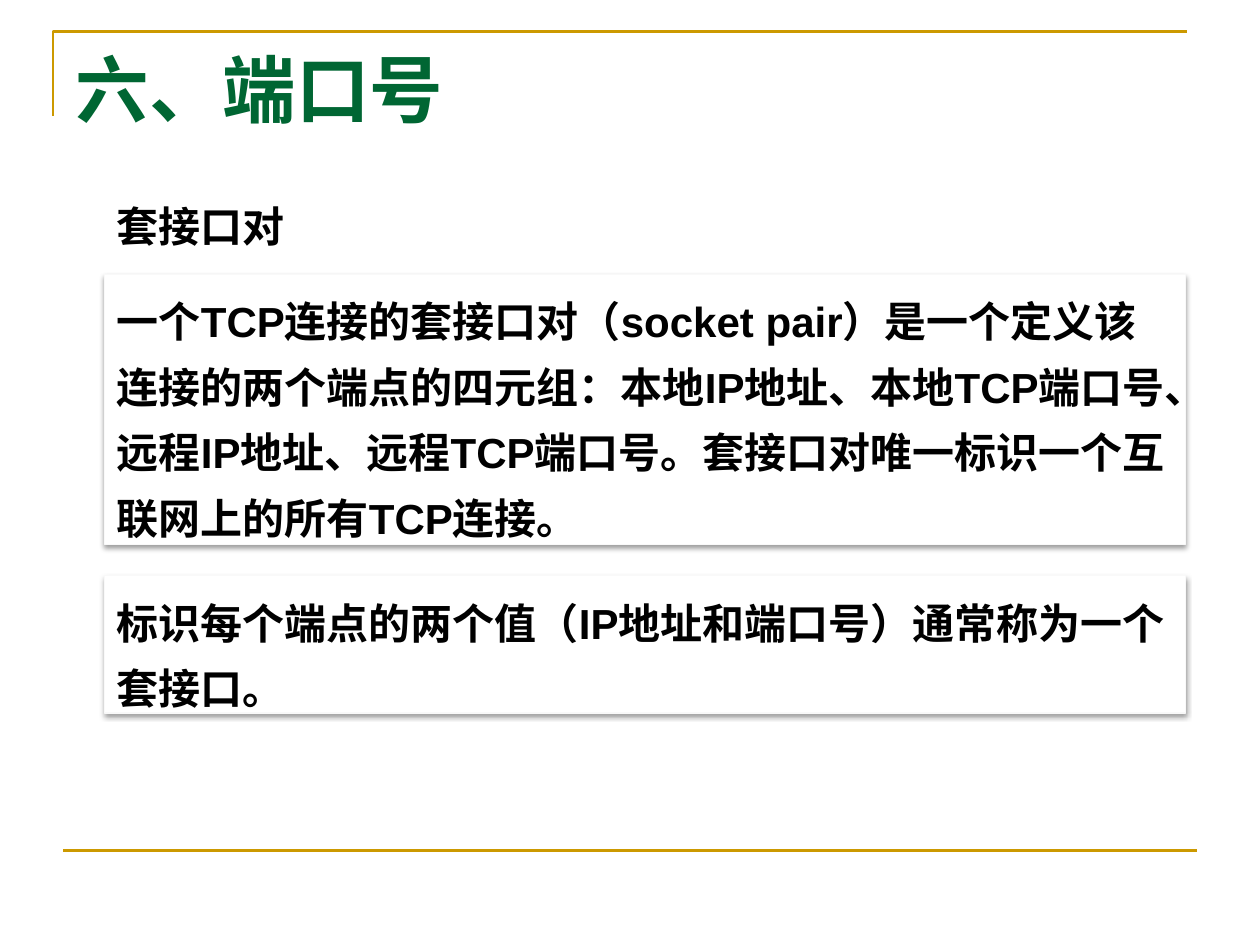
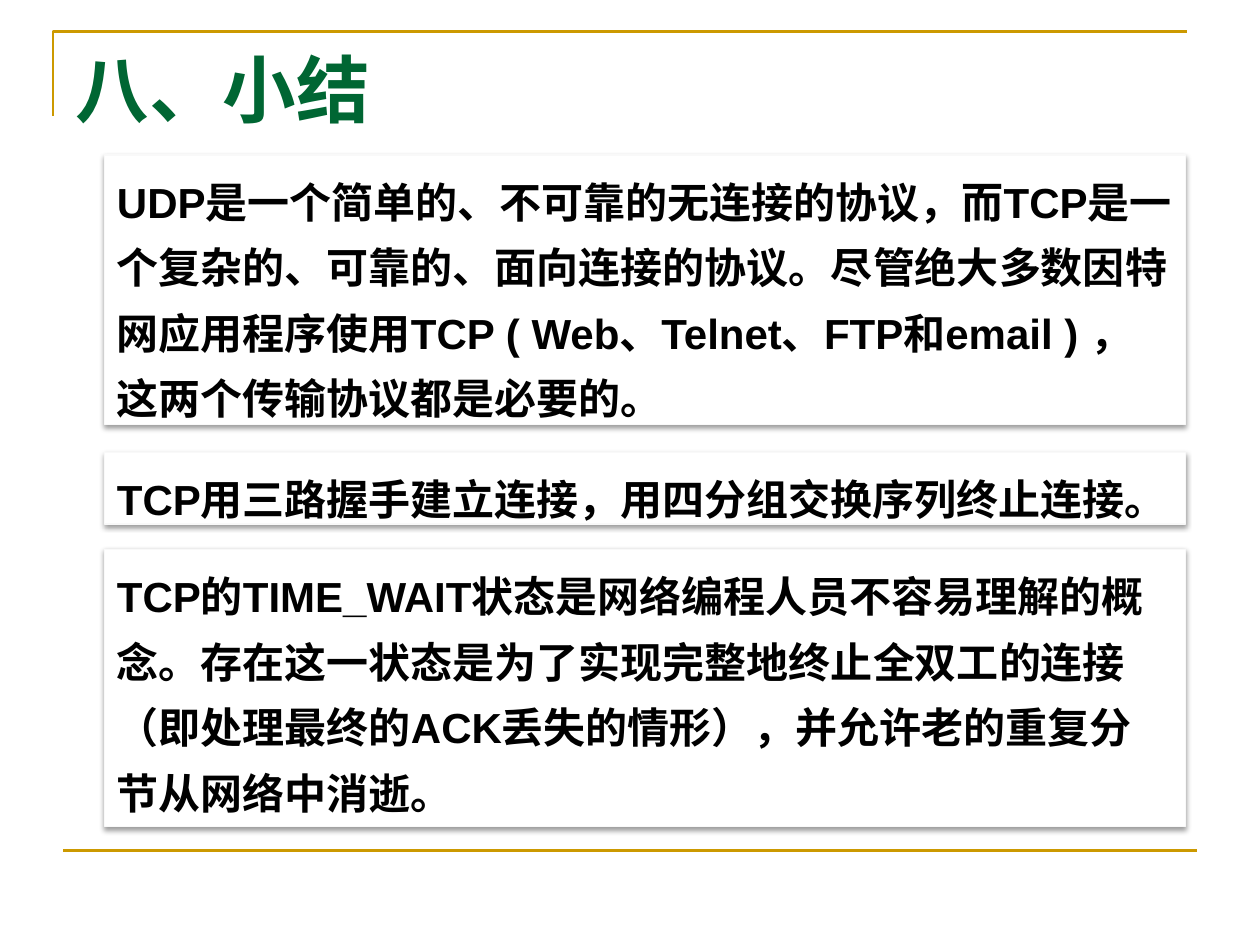
"""Build two slides on TCP port numbers and a summary."""
import pptx
import pptx.util
import pptx.dml.color
import pptx.enum.lang
import pptx.enum.shapes
import pptx.enum.text
import pptx.oxml
import pptx.oxml.ns

Inches, Pt = pptx.util.Inches, pptx.util.Pt
COLORS = {"gold": "CC9900", "green": "006633", "ink": "000000",
          "paper": "FFFFFF", "edge": "F9F9F9"}
LANG = pptx.enum.lang.MSO_LANGUAGE_ID.SIMPLIFIED_CHINESE
HEAD = {"name": "Times New Roman", "size": Pt(42), "bold": True, "language_id": LANG}
BODY = {"name": "Arial", "size": Pt(24), "bold": True, "language_id": LANG}
FRAME = {"word_wrap": True, "vertical_anchor": pptx.enum.text.MSO_ANCHOR.TOP}
SHADOW = (f'<a:outerShdw {pptx.oxml.ns.nsdecls("a")} blurRad="{Pt(3.1)}" '
          f'dist="{Pt(1.6)}" dir="5400000" rotWithShape="0">'
          f'<a:srgbClr val="{COLORS["ink"]}"><a:alpha val="38000"/></a:srgbClr>'
          '</a:outerShdw>')

DECK = [
    ("六、端口号", [
        (1.42, 0.57, False, "套接口对"),
        (2.18, 2.14, True, "一个TCP连接的套接口对（socket pair）是一个定义该连接的两个端点的四元组："
         "本地IP地址、本地TCP端口号、远程IP地址、远程TCP端口号。"
         "套接口对唯一标识一个互联网上的所有TCP连接。"),
        (4.57, 1.09, True, "标识每个端点的两个值（IP地址和端口号）通常称为一个套接口。"),
    ]),
    ("八、小结", [
        (1.23, 2.14, True, "UDP是一个简单的、不可靠的无连接的协议，而TCP是一个复杂的、可靠的、"
         "面向连接的协议。尽管绝大多数因特网应用程序使用TCP ( Web、Telnet、FTP和email ) ，"
         "这两个传输协议都是必要的。"),
        (3.59, 0.57, True, "TCP用三路握手建立连接，用四分组交换序列终止连接。"),
        (4.36, 2.2, True, "TCP的TIME_WAIT状态是网络编程人员不容易理解的概念。"
         "存在这一状态是为了实现完整地终止全双工的连接（即处理最终的ACK丢失的情形），"
         "并允许老的重复分节从网络中消逝。"),
    ]),
]


def paint(form, name):
    form.rgb = pptx.dml.color.RGBColor.from_string(COLORS[name])


def write(frame, text, style, color):
    for key, value in FRAME.items():
        setattr(frame, key, value)
    para = frame.paragraphs[0]
    para.alignment = pptx.enum.text.PP_ALIGN.LEFT
    run = para.add_run()
    run.text = text
    for key, value in style.items():
        setattr(run.font, key, value)
    paint(run.font.color, color)
    return para


deck = pptx.Presentation()
deck.slide_width, deck.slide_height = Inches(10), Inches(7.5)
layout = deck.slide_layouts[5]
head = layout.placeholders[0]
head.left, head.top, head.width, head.height = map(Inches, (0.5, 0.3, 8.28, 1.25))
slides = [deck.slides.add_slide(layout) for _ in DECK]

shapes = slides[0].shapes
pen = shapes.build_freeform(Inches(0.42), Inches(0.92))
pen.add_line_segments([(Inches(0.42), Inches(0.25)), (Inches(9.42), Inches(0.25))], close=False)
corner = pen.convert_to_shape()
corner.fill.background()
corner.shadow.inherit = False
rule = shapes.add_connector(pptx.enum.shapes.MSO_CONNECTOR.STRAIGHT,
                            Inches(0.5), Inches(6.75), Inches(9.5), Inches(6.75))
rule.element.spPr.append(pptx.oxml.parse_xml(f'<a:effectLst {pptx.oxml.ns.nsdecls("a")}/>'))
for ident, trim in enumerate((corner, rule), 90):
    paint(trim.line.color, "gold")
    trim.line.width = Pt(1.5)
    trim.element.xpath(".//p:cNvPr")[0].set("id", str(ident))
    layout.shapes.element.append(trim.element)

for slide, (title, boxes) in zip(slides, DECK):
    frame = slide.shapes.title.text_frame
    write(frame, title, HEAD, "green")
    frame.auto_size = pptx.enum.text.MSO_AUTO_SIZE.NONE
    for top, height, raised, text in boxes:
        box = slide.shapes.add_shape(pptx.enum.shapes.MSO_SHAPE.RECTANGLE,
                                     Inches(0.83), Inches(top), Inches(8.58), Inches(height))
        box.fill.solid()
        paint(box.fill.fore_color, "paper")
        paint(box.line.color, "edge" if raised else "paper")
        box.line.width = Pt(0.75 if raised else 2)
        box.shadow.inherit = False
        if raised:
            effects = box.element.spPr.find(pptx.oxml.ns.qn("a:effectLst"))
            effects.append(pptx.oxml.parse_xml(SHADOW))
        write(box.text_frame, text, BODY, "ink").line_spacing = 1.3
        box.text_frame.auto_size = pptx.enum.text.MSO_AUTO_SIZE.SHAPE_TO_FIT_TEXT

deck.save("out.pptx")
